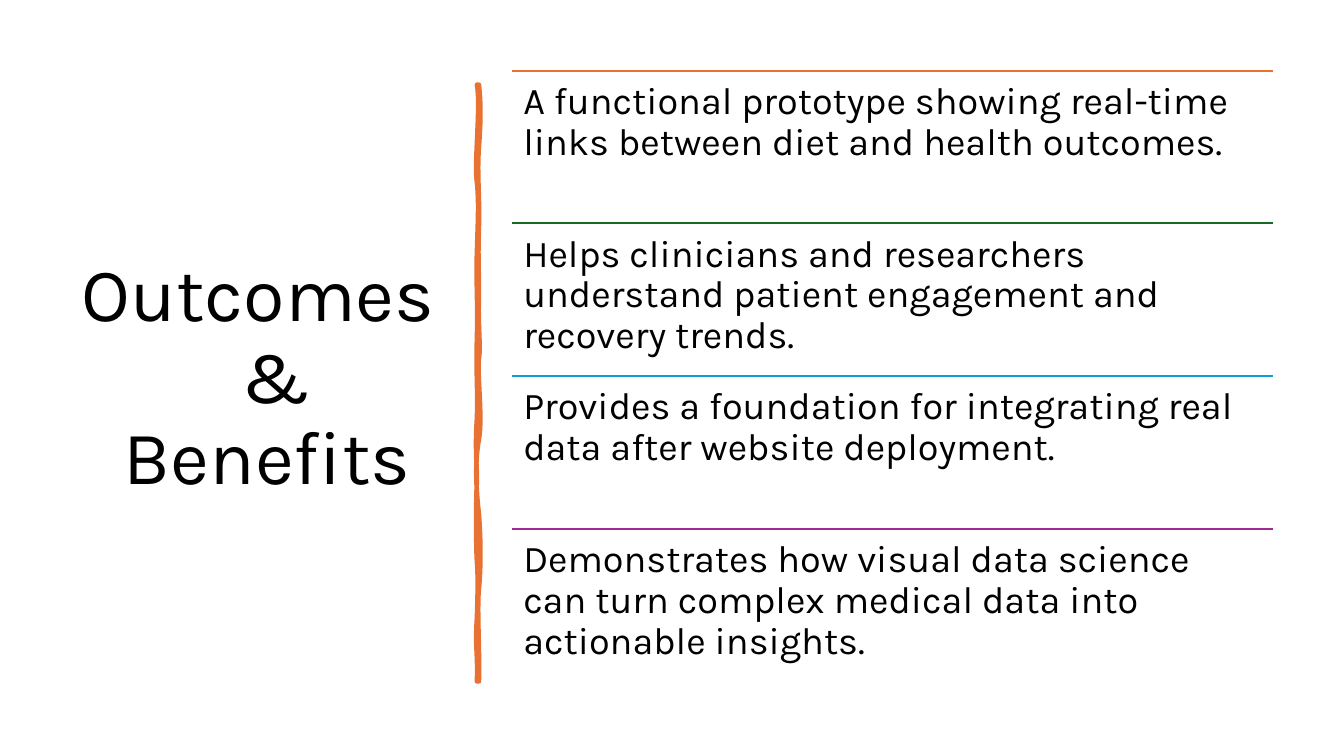
from pptx import Presentation
from pptx.dml.color import RGBColor
from pptx.enum.shapes import MSO_CONNECTOR
from pptx.enum.text import MSO_ANCHOR, MSO_AUTO_SIZE, PP_ALIGN
from pptx.oxml.ns import qn
from pptx.util import Inches, Pt
from lxml import etree

STRAIGHT = MSO_CONNECTOR.STRAIGHT
MIDDLE, TOP = MSO_ANCHOR.MIDDLE, MSO_ANCHOR.TOP
CENTER, LEFT = PP_ALIGN.CENTER, PP_ALIGN.LEFT
NO_FIT = MSO_AUTO_SIZE.NONE

# Content
FONT = "Karla"
BLACK, ORANGE = "000000", "E97132"
TITLE_LINES = [("Outcomes", 0), ("&", 0.36), ("Benefits", 0.18)]  # text, left margin
BENEFITS = [
    ("A functional prototype showing real-time links between diet and health outcomes.", ORANGE),
    ("Helps clinicians and researchers understand patient engagement and recovery trends.", "196B24"),
    ("Provides a foundation for integrating real data after website deployment.", "0F9ED5"),
    ("Demonstrates how visual data science can turn complex medical data into actionable insights.", "A02B93"),
]

# Hand-drawn divider: start point, then curves as two controls and an end
STROKE_START = (4.75, 0.84)
STROKE_CURVES = [
    (4.77, 1.02, 4.77, 1.19, 4.75, 1.46), (4.73, 1.73, 4.76, 1.95, 4.75, 2.26),
    (4.74, 2.57, 4.75, 2.62, 4.75, 2.94), (4.74, 3.25, 4.77, 3.42, 4.75, 3.56),
    (4.73, 3.7, 4.79, 4.14, 4.75, 4.36), (4.71, 4.57, 4.72, 4.84, 4.75, 5.1),
    (4.77, 5.36, 4.77, 5.64, 4.75, 5.84), (4.73, 6.03, 4.76, 6.5, 4.75, 6.76),
    (4.74, 6.76, 4.73, 6.76, 4.73, 6.76), (4.74, 6.46, 4.71, 6.44, 4.73, 6.13),
    (4.74, 5.83, 4.74, 5.7, 4.73, 5.57), (4.72, 5.44, 4.72, 4.95, 4.73, 4.77),
    (4.73, 4.59, 4.71, 4.45, 4.73, 4.15), (4.74, 3.86, 4.72, 3.73, 4.73, 3.35),
    (4.74, 2.98, 4.72, 2.81, 4.73, 2.5), (4.74, 2.18, 4.75, 2, 4.73, 1.81),
    (4.7, 1.63, 4.77, 1.04, 4.73, 0.84), (4.74, 0.84, 4.74, 0.84, 4.75, 0.84),
]

# Layout of the benefit rows
ROW_LEFT, ROW_WIDTH = 5.08, 7.55
ROWS_TOP, ROWS_BOTTOM = 0.7, 6.76
ROW_HEIGHT = (ROWS_BOTTOM - ROWS_TOP) / len(BENEFITS)
ROW_INSET, ROW_RIGHT_INSET = 0.11, 0.2


def color(value):
    return RGBColor.from_string(value)


def style(para, size, align):
    para.alignment = align
    para.line_spacing = 0.9
    para.space_before = Pt(0)
    for span in para.runs:
        span.font.name = FONT
        span.font.size = Pt(size)
        span.font.color.rgb = color(BLACK)


def add_title(page):
    title = page.shapes.title
    title.left, title.top = Inches(0.69), Inches(0.7)
    title.width, title.height = Inches(3.74), Inches(6.11)
    frame = title.text_frame
    frame.text = "\n".join(text for text, _ in TITLE_LINES)
    frame.auto_size = NO_FIT
    frame.word_wrap = True
    frame.vertical_anchor = MIDDLE
    for para, (_, margin) in zip(frame.paragraphs, TITLE_LINES):
        style(para, 54, CENTER)
        para._p.get_or_add_pPr().set("marL", str(Inches(margin)))


def bend_segments(shape, curves):
    """Turn each straight segment of the outline into its cubic curve."""
    segments = list(shape._element.spPr.iter(qn("a:lnTo")))
    for segment, curve in zip(segments, curves):
        segment.tag = qn("a:cubicBezTo")
        controls = [(curve[0], curve[1]), (curve[2], curve[3])]
        for place, (x, y) in enumerate(controls):
            point = etree.Element(qn("a:pt"))
            point.set("x", str(Inches(x) - shape.left))
            point.set("y", str(Inches(y) - shape.top))
            segment.insert(place, point)


def add_divider(page):
    x, y = STROKE_START
    builder = page.shapes.build_freeform(Inches(x), Inches(y))
    ends = [(Inches(curve[4]), Inches(curve[5])) for curve in STROKE_CURVES]
    builder.add_line_segments(ends, close=True)
    divider = builder.convert_to_shape()
    bend_segments(divider, STROKE_CURVES)
    divider.shadow.inherit = False
    divider.fill.solid()
    divider.fill.fore_color.rgb = color(ORANGE)
    divider.line.color.rgb = color(ORANGE)
    divider.line.width = Pt(3.25)


def add_benefit(page, top, text, line_color):
    left, width = Inches(ROW_LEFT), Inches(ROW_WIDTH)
    rule = page.shapes.add_connector(STRAIGHT, left, top, left + width, top)
    rule.line.color.rgb = color(line_color)
    rule.line.width = Pt(1.5)
    etree.SubElement(rule._element.spPr, qn("a:effectLst"))

    box = page.shapes.add_textbox(left, top, width, Inches(ROW_HEIGHT))
    frame = box.text_frame
    frame.text = text
    frame.word_wrap = True
    frame.vertical_anchor = TOP
    frame.margin_left = frame.margin_top = frame.margin_bottom = Inches(ROW_INSET)
    frame.margin_right = Inches(ROW_RIGHT_INSET)
    style(frame.paragraphs[0], 27, LEFT)


def main():
    deck = Presentation()
    deck.slide_width, deck.slide_height = Inches(13.33), Inches(7.5)
    page = deck.slides.add_slide(deck.slide_layouts.get_by_name("Title Only"))
    add_title(page)
    add_divider(page)
    for row, (text, line_color) in enumerate(BENEFITS):
        add_benefit(page, Inches(ROWS_TOP + row * ROW_HEIGHT), text, line_color)
    deck.save("out.pptx")


if __name__ == "__main__":
    main()
